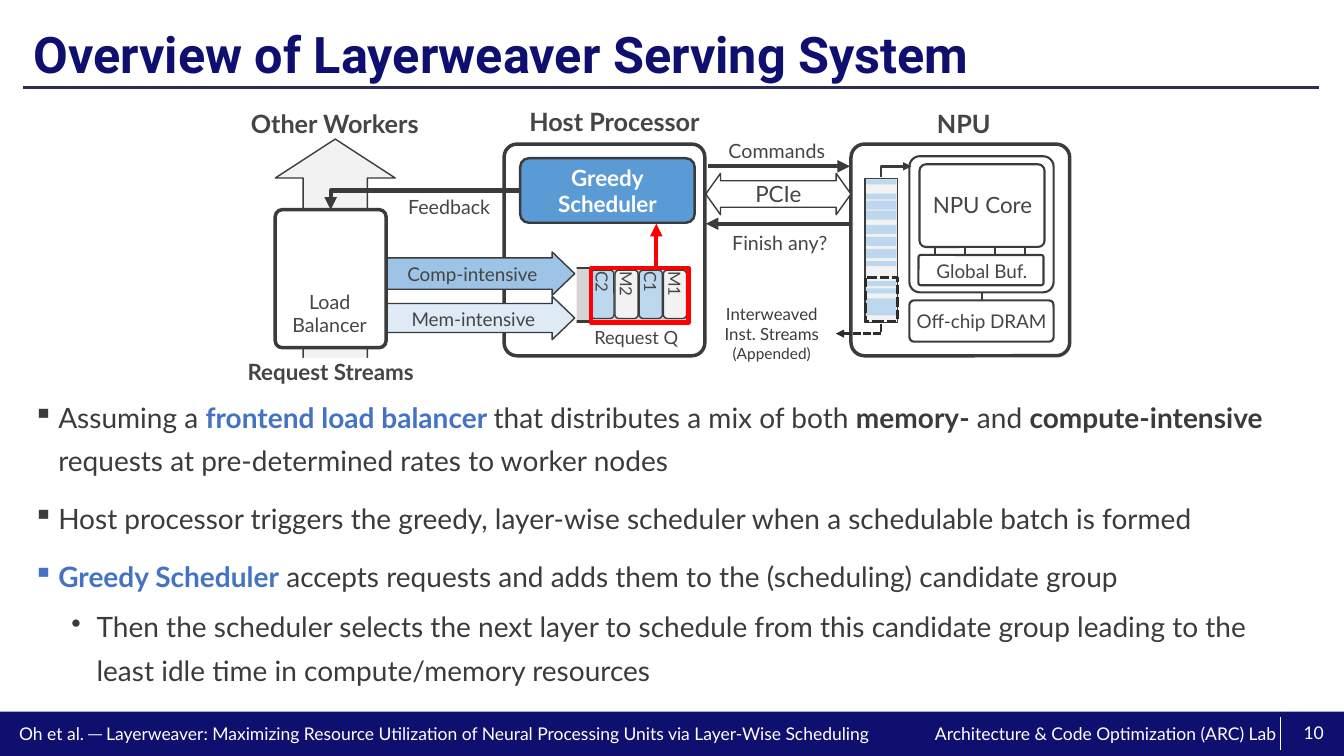
from lxml.etree import SubElement
from pptx import Presentation
from pptx.dml.color import RGBColor
from pptx.enum.dml import MSO_LINE
from pptx.enum.shapes import MSO_CONNECTOR, MSO_SHAPE
from pptx.enum.text import MSO_ANCHOR, MSO_AUTO_SIZE, PP_ALIGN
from pptx.oxml.ns import qn
from pptx.util import Pt

PX = 9144
WHITE = RGBColor(0xFF, 0xFF, 0xFF)
NAVY = RGBColor(0x0F, 0x0F, 0x70)
RULE = RGBColor(0x2C, 0x2C, 0x54)
INK = RGBColor(0x3B, 0x3B, 0x3B)
TEXT = RGBColor(0x45, 0x45, 0x45)
BLACK = RGBColor(0x2C, 0x2C, 0x2C)
ACCENT = RGBColor(0x44, 0x72, 0xC4)
SCHEDULER = RGBColor(0x5B, 0x9B, 0xD5)
PALE = RGBColor(0xF2, 0xF2, 0xF2)
GREY = RGBColor(0xD5, 0xD5, 0xD5)
COMPUTE = RGBColor(0x9D, 0xC3, 0xE6)
MEMORY = RGBColor(0xDE, 0xEB, 0xF7)
STRIPE = RGBColor(0xBD, 0xD7, 0xEE)
RED = RGBColor(0xFF, 0x00, 0x00)
RECT, ROUND = MSO_SHAPE.RECTANGLE, MSO_SHAPE.ROUNDED_RECTANGLE
DASH = MSO_LINE.SQUARE_DOT

TITLE = "Overview of Layerweaver Serving System"
BULLETS = [
    (0, [("Assuming a ", INK, False), ("frontend load balancer ", ACCENT, True),
         ("that distributes a mix of both ", INK, False), ("memory-", INK, True),
         (" and ", INK, False), ("compute-intensive", INK, True),
         (" requests at pre-determined rates to worker nodes", INK, False)]),
    (0, [("Host processor triggers the greedy, layer-wise scheduler when a "
          "schedulable batch is formed", INK, False)]),
    (0, [("Greedy Scheduler", ACCENT, True),
         (" accepts requests and adds them to the (scheduling) candidate group", INK, False)]),
    (1, [("Then the scheduler selects the next layer to schedule from this candidate "
          "group leading to the least idle time in compute/memory resources", INK, False)]),
]
BULLET_STYLES = [("▪", 25, 10), ("•", 63, 5)]

SHAPES = [
    (RECT, (0, 706, 1333, 44), NAVY, None, 0, []),
    (ROUND, (844, 143, 217, 210), WHITE, INK, 2.5, [0.064]),
    (MSO_SHAPE.UP_ARROW, (273, 138, 119, 226), PALE, INK, 1, [0.535, 0.325]),
    (ROUND, (902, 298, 143, 41), WHITE, INK, 1.5, [0.109]),
    (ROUND, (902, 155, 143, 135), None, INK, 1.5, [0.076]),
    (ROUND, (912, 163, 124, 82), WHITE, INK, 1.5, [0.076]),
    (ROUND, (911, 253, 124, 30), WHITE, INK, 1.5, [0.076]),
    (ROUND, (500, 143, 199, 210), WHITE, INK, 2.5, [0.064]),
    (ROUND, (516, 157, 173, 64), SCHEDULER, INK, 1.75, [0.134]),
    (MSO_SHAPE.LEFT_RIGHT_ARROW, (700, 172, 144, 41), WHITE, INK, 1, [0.642, 0.357]),
    (RECT, (568, 266, 116, 53), GREY, INK, 1.5, []),
    (RECT, (562, 265, 10, 56), WHITE, None, 0, []),
]
QUEUE = [("C2", STRIPE), ("M2", PALE), ("C1", STRIPE), ("M1", PALE)]
QUEUE_LEFT, QUEUE_PITCH = 586, 24
FLOWS = [
    (RECT, (586, 266, 97, 54), None, RED, 3, []),
    (MSO_SHAPE.RIGHT_ARROW, (368, 250, 202, 43), COMPUTE, INK, 1, [0.725, 0.52]),
    (MSO_SHAPE.RIGHT_ARROW, (368, 294, 202, 43), MEMORY, INK, 1, [0.669, 0.52]),
    (ROUND, (273, 208, 110, 137), WHITE, INK, 2.5, [0.064]),
    (RECT, (858, 177, 32, 143), PALE, INK, 1, []),
]
STRIPES = [(178, 5), (192, 6), (199, 9), (209, 9), (223, 9), (235, 9),
           (247, 9), (259, 5), (279, 5), (286, 5), (296, 17)]
APPENDED = (858, 275, 32, 44)
PIN_LEFT, PIN_PITCH, PIN_COUNT = 927, 30, 4

LINES = [
    ((23, 87), (1308, 87), RULE, 2, None),
    ((1270, 711), (1270, 744), WHITE, 0.5, None),
    ((974, 298), (974, 290), INK, 1.5, None),
    ((702, 165), (843, 165), INK, 3, "tailEnd"),
    ((844, 222), (700, 222), INK, 3, "tailEnd"),
    ((651, 265), (651, 222), RED, 3, "tailEnd"),
]
ELBOWS = [
    ((829, 331), (874, 319), BLACK, 1.75, "headEnd", DASH),
    ((516, 189), (328, 208), INK, 3, "tailEnd", None),
    ((904, 165), (874, 176), INK, 1.75, "headEnd", None),
]
LABELS = [
    ("Host Processor", (503, 106, 213, 30), 18, TEXT, True, None),
    ("NPU", (848, 107, 216, 30), 18, TEXT, True, None),
    ("Other Workers", (239, 107, 186, 30), 18, TEXT, True, None),
    ("Request Streams", (227, 355, 202, 27), 16, TEXT, True, WHITE),
    ("Greedy\nScheduler", (516, 157, 173, 64), 16, WHITE, True, None),
    ("Commands", (722, 137, 97, 24), 14, TEXT, False, None),
    ("PCIe", (700, 172, 144, 41), 16, TEXT, False, None),
    ("Finish any?", (726, 229, 95, 24), 14, TEXT, False, None),
    ("Feedback", (404, 193, 83, 24), 14, TEXT, False, WHITE),
    ("Load\nBalancer", (285, 287, 84, 47), 14, TEXT, False, None),
    ("Comp-intensive", (385, 260, 167, 23), 13.5, TEXT, False, None),
    ("Mem-intensive", (384, 305, 171, 23), 13.5, TEXT, False, None),
    ("Request Q", (584, 324, 94, 22), 13, TEXT, False, None),
    ("Interweaved\nInst. Streams", (702, 301, 127, 40), 12, INK, False, None),
    ("(Appended)", (702, 341, 127, 19), 11, INK, False, None),
    ("NPU Core", (914, 184, 121, 37), 16, TEXT, False, None),
    ("Global Buf.", (926, 257, 96, 24), 13.5, TEXT, False, None),
    ("Off-chip DRAM", (902, 298, 143, 41), 13.5, TEXT, False, None),
    ("Oh et al. ─ Layerweaver: Maximizing Resource Utilization of Neural Processing "
     "Units via Layer-Wise Scheduling", (7, 717, 867, 21), 12.5, WHITE, False, None),
    ("Architecture & Code Optimization (ARC) Lab", (917, 717, 359, 21), 12.5, WHITE, False, None),
    ("10", (1279, 707, 48, 40), 12.5, WHITE, False, None),
]


def scaled(values):
    return [value * PX for value in values]


def style(span, size, color, bold, name="Lato"):
    span.font.name, span.font.size, span.font.bold = name, Pt(size), bold
    span.font.color.rgb = color


def add_part(page, kind, box, fill, line, width, adjustments):
    part = page.shapes.add_shape(kind, *scaled(box))
    part.shadow.inherit = False
    for index, value in enumerate(adjustments):
        part.adjustments[index] = value
    if fill is None:
        part.fill.background()
    else:
        part.fill.solid()
        part.fill.fore_color.rgb = fill
    if line is None:
        part.line.fill.background()
    else:
        part.line.color.rgb = line
        part.line.width = Pt(width)
    return part


def write_centred(part, text, size, color, bold):
    frame = part.text_frame
    frame.text = text
    frame.word_wrap = False
    frame.vertical_anchor = MSO_ANCHOR.MIDDLE
    frame.margin_left = frame.margin_right = frame.margin_top = frame.margin_bottom = 0
    for para in frame.paragraphs:
        para.alignment = PP_ALIGN.CENTER
        for span in para.runs:
            style(span, size, color, bold)


def add_line(page, start, end, color, width, arrow, dash=None, kind=MSO_CONNECTOR.STRAIGHT):
    link = page.shapes.add_connector(kind, *scaled(start + end))
    link.line.color.rgb = color
    link.line.width = Pt(width)
    if dash:
        link.line.dash_style = dash
    properties = link._element.spPr
    if kind == MSO_CONNECTOR.ELBOW:
        properties.find(qn("a:prstGeom")).set("prst", "bentConnector2")
    if arrow:
        SubElement(properties.find(qn("a:ln")), qn("a:" + arrow), type="triangle")
    SubElement(properties, qn("a:effectLst"))


def add_title(page):
    title = page.shapes.title
    title.left, title.top, title.width, title.height = scaled((23, 18, 1286, 77))
    frame = title.text_frame
    frame.text = TITLE
    frame.auto_size = MSO_AUTO_SIZE.NONE
    frame.vertical_anchor = MSO_ANCHOR.MIDDLE
    para = frame.paragraphs[0]
    para.alignment, para.line_spacing = PP_ALIGN.LEFT, 0.9
    style(para.runs[0], 36, NAVY, True, "Roboto")


def add_bullets(page):
    frame = page.shapes.add_textbox(*scaled((23, 382, 1286, 301))).text_frame
    frame.word_wrap = True
    for index, (level, spans) in enumerate(BULLETS):
        para = frame.add_paragraph() if index else frame.paragraphs[0]
        mark, indent, space = BULLET_STYLES[level]
        properties = para._p.get_or_add_pPr()
        properties.set("marL", str(indent * PX))
        properties.set("indent", str(-25 * PX))
        SubElement(properties, qn("a:buChar"), char=mark)
        para.level, para.line_spacing = level, 1.3
        para.space_before = Pt(space if index else 0)
        for text, color, bold in spans:
            span = para.add_run()
            span.text = text
            style(span, 20, color, bold)


def main():
    deck = Presentation()
    deck.slide_width, deck.slide_height = scaled((1333, 750))
    page = deck.slides.add_slide(deck.slide_layouts[5])
    add_title(page)
    add_bullets(page)
    for shape in SHAPES:
        add_part(page, *shape)
    for index, (name, fill) in enumerate(QUEUE):
        cell = (QUEUE_LEFT + index * QUEUE_PITCH, 268, 23, 48)
        request = add_part(page, ROUND, cell, fill, INK, 1, [])
        write_centred(request, name, 12, TEXT, False)
        request.text_frame._txBody.bodyPr.set("vert", "eaVert")
    for shape in FLOWS:
        add_part(page, *shape)
    for top, height in STRIPES:
        add_part(page, RECT, (859, top, 30, height), STRIPE, None, 0, [])
    add_part(page, RECT, APPENDED, None, BLACK, 2.25, []).line.dash_style = DASH
    for line in LINES:
        add_line(page, *line)
    for index in range(PIN_COUNT):
        x = PIN_LEFT + index * PIN_PITCH
        add_line(page, (x, 245), (x, 253), INK, 1.5, None)
    for elbow in ELBOWS:
        add_line(page, *elbow, kind=MSO_CONNECTOR.ELBOW)
    for text, box, size, color, bold, fill in LABELS:
        label = page.shapes.add_textbox(*scaled(box))
        if fill is not None:
            label.fill.solid()
            label.fill.fore_color.rgb = fill
        write_centred(label, text, size, color, bold)
    deck.save("out.pptx")


if __name__ == "__main__":
    main()
